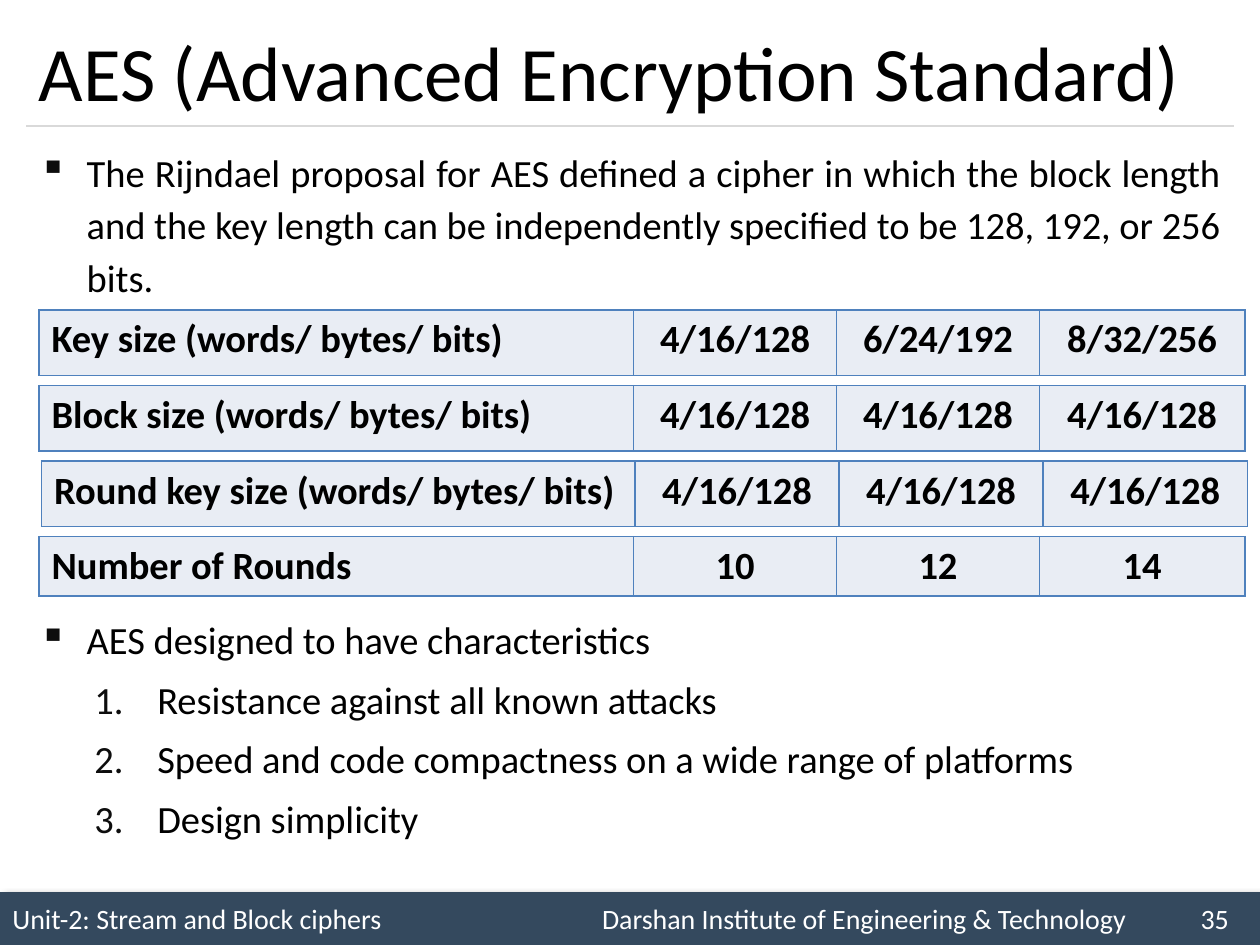
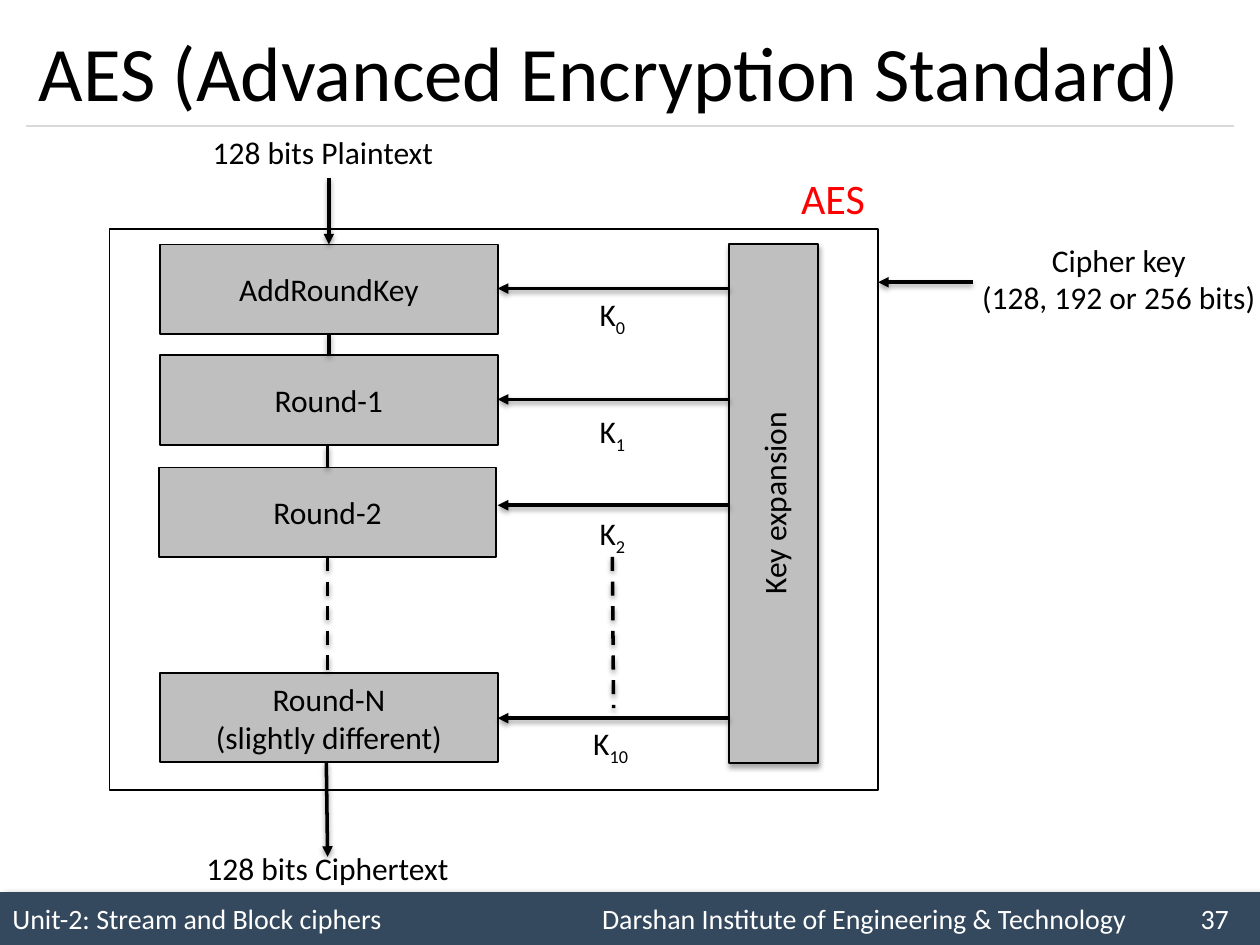
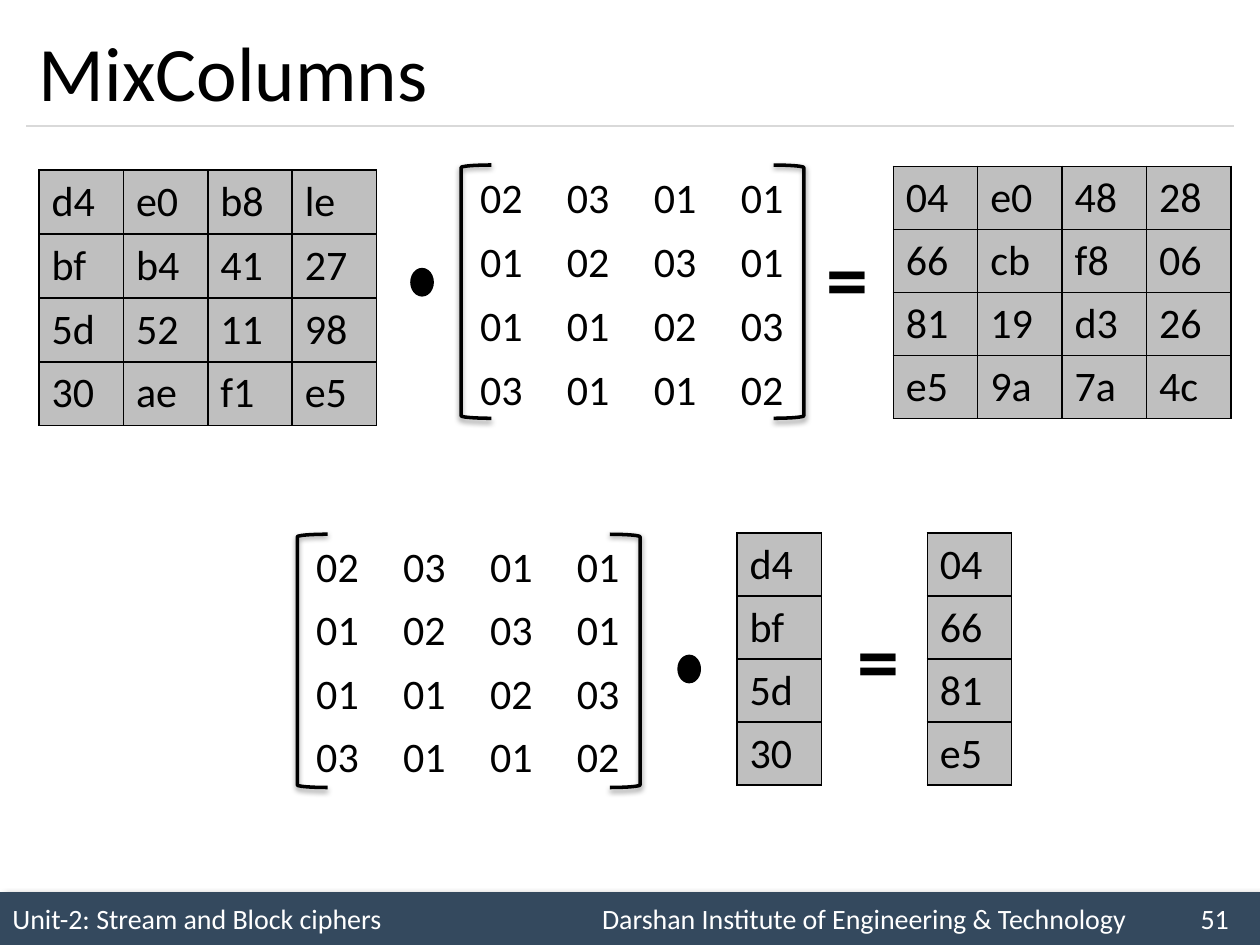
from lxml.etree import SubElement
from pptx import Presentation
from pptx.dml.color import RGBColor
from pptx.enum.dml import MSO_LINE
from pptx.enum.shapes import MSO_CONNECTOR, MSO_SHAPE
from pptx.enum.text import MSO_ANCHOR, MSO_AUTO_SIZE, PP_ALIGN
from pptx.oxml.ns import qn
from pptx.util import Inches, Pt

COLORS = {
    "text": "000000",
    "band": "34495E",
    "band_text": "FFFFFF",
    "rule": "D9D9D9",
    "bullet": "0D0D0D",
    "paper": "FFFFFF",
    "box": "BFBFBF",
    "accent": "FF0000",
    "size_fill": "E9EDF4",
    "size_line": "4F81BD",
}
FONT = "Calibri"
# opacity in percent, blur and distance in points, direction in degrees
BAND_SHADOW = (40, 4, 3, 45)
LINE_SHADOW = (38, 3.1, 1.6, 90)
PANEL_SHADOW = (35, 3.1, 1.8, 90)


def rgb(name):
    return RGBColor.from_string(COLORS[name])


def add_child(parent, tag, **attributes):
    child = SubElement(parent, qn(tag))
    for name, value in attributes.items():
        child.set(name, str(value))
    return child


def add_color(parent, name):
    return add_child(parent, "a:srgbClr", val=COLORS[name])


def write_text(frame, text, size=18, color="text", bold=False,
               align=PP_ALIGN.LEFT, line_spacing=None, space_before=0):
    """Write one paragraph per line; what follows "_" in a line is subscript."""
    for index, line in enumerate(text.split("\n")):
        paragraph = frame.add_paragraph() if index else frame.paragraphs[0]
        paragraph.alignment = align
        if line_spacing:
            paragraph.line_spacing = line_spacing
        if index and space_before:
            paragraph.space_before = Pt(space_before)
        for part_index, part in enumerate(line.split("_")):
            run = paragraph.add_run()
            run.text = part
            run.font.name = FONT
            run.font.size = Pt(size)
            run.font.bold = bold
            run.font.color.rgb = rgb(color)
            if part_index:
                run.font._element.set("baseline", "-25000")
    return frame.paragraphs


def set_bullet(paragraph, margin, indent, kind, **attributes):
    properties = paragraph._p.get_or_add_pPr()
    properties.set("marL", str(Inches(margin)))
    properties.set("indent", str(Inches(indent)))
    add_color(add_child(properties, "a:buClr"), "bullet")
    add_child(properties, kind, **attributes)


def set_shadow(shape, shadow):
    """Replace the theme shadow by the given one, or by none."""
    effects = add_child(shape._element.spPr, "a:effectLst")
    if shadow:
        opacity, blur, distance, direction = shadow
        outer = add_child(effects, "a:outerShdw", blurRad=Pt(blur), dist=Pt(distance),
                          dir=direction * 60000, algn="t", rotWithShape=0)
        add_child(add_color(outer, "text"), "a:alpha", val=opacity * 1000)


def set_borders(cell, color):
    properties = cell._tc.get_or_add_tcPr()
    for side in ("a:lnL", "a:lnR", "a:lnT", "a:lnB"):
        border = add_child(properties, side, w=Pt(1))
        if color:
            add_color(add_child(border, "a:solidFill"), color)
        else:
            add_child(border, "a:noFill")


class Deck:
    def __init__(self):
        self.presentation = Presentation()
        self.presentation.slide_width = Inches(10)
        self.presentation.slide_height = Inches(7.5)
        self.slide = None

    def new_slide(self, title, number):
        layout = self.presentation.slide_layouts[6]
        self.slide = self.presentation.slides.add_slide(layout)
        band = self.shape(MSO_SHAPE.RECTANGLE, 0, 7.08, 10, 0.42, fill="band",
                          line=None, shadow=BAND_SHADOW)
        footer = ("Unit-2: Stream and Block ciphers\t"
                  f"Darshan Institute of Engineering & Technology\t{number}")
        paragraph = write_text(band.text_frame, footer, size=16, color="band_text")[0]
        tabs = add_child(paragraph._p.get_or_add_pPr(), "a:tabLst")
        for position in (4.68, 9.43):
            add_child(tabs, "a:tab", pos=Inches(position), algn="l")
        self.line(0.21, 1, 9.79, 1, color="rule", width=0.75, shadow=None)
        self.text(title, 0.21, 0.12, 9.58, 0.88, wrap=True,
                  anchor=MSO_ANCHOR.MIDDLE, size=44)

    def text(self, text, left, top, width, height, wrap=False,
             anchor=MSO_ANCHOR.TOP, **text_format):
        box = self.slide.shapes.add_textbox(
            Inches(left), Inches(top), Inches(width), Inches(height))
        frame = box.text_frame
        frame.word_wrap = wrap
        frame.auto_size = MSO_AUTO_SIZE.NONE if wrap else MSO_AUTO_SIZE.SHAPE_TO_FIT_TEXT
        frame.vertical_anchor = anchor
        return write_text(frame, text, **text_format)

    def body(self, text, top, height):
        return self.text(text, 0.21, top, 9.58, height, wrap=True, size=22,
                         align=PP_ALIGN.JUSTIFY, line_spacing=1.14, space_before=4)

    def shape(self, kind, left, top, width, height, text="", fill=None, line="text",
              line_width=1, shadow=None, rotation=0):
        shape = self.slide.shapes.add_shape(
            kind, Inches(left), Inches(top), Inches(width), Inches(height))
        shape.rotation = rotation
        if fill:
            shape.fill.solid()
            shape.fill.fore_color.rgb = rgb(fill)
        else:
            shape.fill.background()
        if line:
            shape.line.color.rgb = rgb(line)
            shape.line.width = Pt(line_width)
        else:
            shape.line.fill.background()
        set_shadow(shape, shadow)
        shape.text_frame.vertical_anchor = MSO_ANCHOR.MIDDLE
        if text:
            write_text(shape.text_frame, text, align=PP_ALIGN.CENTER)
        return shape

    def line(self, start_x, start_y, end_x, end_y, color="text", width=2,
             arrow=False, dashed=False, shadow=LINE_SHADOW):
        connector = self.slide.shapes.add_connector(
            MSO_CONNECTOR.STRAIGHT, Inches(start_x), Inches(start_y),
            Inches(end_x), Inches(end_y))
        connector.line.color.rgb = rgb(color)
        connector.line.width = Pt(width)
        if dashed:
            connector.line.dash_style = MSO_LINE.DASH
        if arrow:
            add_child(connector.line._get_or_add_ln(), "a:tailEnd", type="triangle")
        set_shadow(connector, shadow)

    def table(self, rows, left, top, column_widths, row_height, fill=None, border=None,
              center_values=False, **text_format):
        table = self.slide.shapes.add_table(
            len(rows), len(column_widths), Inches(left), Inches(top),
            Inches(sum(column_widths)), Inches(row_height * len(rows))).table
        table.first_row = table.horz_banding = False
        for column, width in zip(table.columns, column_widths):
            column.width = Inches(width)
        for row_index, values in enumerate(rows):
            table.rows[row_index].height = Inches(row_height)
            for column_index, value in enumerate(values):
                cell = table.cell(row_index, column_index)
                set_borders(cell, border)
                if fill:
                    cell.fill.solid()
                    cell.fill.fore_color.rgb = rgb(fill)
                else:
                    cell.fill.background()
                centered = center_values and column_index > 0
                write_text(cell.text_frame, value, **text_format,
                           align=PP_ALIGN.CENTER if centered else PP_ALIGN.LEFT)

    def state(self, text, left, top):
        """Draw a grey grid of bytes, one line of text per row."""
        rows = [line.split() for line in text.split("\n")]
        self.table(rows, left, top, [0.67] * len(rows[0]), 0.5,
                   fill="box", border="text", size=24)

    def mix_matrix(self, left, top):
        """Draw the fixed MixColumns matrix between its brackets."""
        rows = [line.split() for line in
                ("02 03 01 01", "01 02 03 01", "01 01 02 03", "03 01 01 02")]
        self.table(rows, left + 0.05, top + 0.02, [0.69] * 4, 0.5, size=24)
        for kind, offset in ((MSO_SHAPE.LEFT_BRACKET, 0), (MSO_SHAPE.RIGHT_BRACKET, 2.48)):
            self.shape(kind, left + offset, top, 0.24, 2.01, line_width=2,
                       shadow=LINE_SHADOW)

    def dot(self, left, top):
        self.shape(MSO_SHAPE.OVAL, left, top, 0.16, 0.2, fill="text", line_width=2)

    def equals(self, left, top):
        self.text("=", left, top, 0.54, 0.91, size=48, bold=True)


def build_parameters(deck):
    deck.new_slide("AES (Advanced Encryption Standard)", 35)
    proposal = deck.body(
        "The Rijndael proposal for AES defined a cipher in which the block length and "
        "the key length can be independently specified to be 128, 192, or 256 bits.",
        1.08, 1.38)
    goals = deck.body(
        "AES designed to have characteristics\n"
        "Resistance against all known attacks\n"
        "Speed and code compactness on a wide range of platforms\n"
        "Design simplicity", 4.79, 2.12)
    for paragraph in (proposal[0], goals[0]):
        set_bullet(paragraph, 0.38, -0.38, "a:buChar", char="▪")
    for paragraph in goals[1:]:
        set_bullet(paragraph, 0.94, -0.5, "a:buAutoNum", type="arabicPeriod")

    wide = (0.31, (4.72, 1.61, 1.61, 1.63), 0.52)
    shifted = (0.33, (4.71, 1.62, 1.62, 1.62), 0.52)
    low = (*wide[:2], 0.47)
    sizes = [
        (wide, "Key size (words/ bytes/ bits)", "4/16/128", "6/24/192", "8/32/256"),
        (wide, "Block size (words/ bytes/ bits)", *["4/16/128"] * 3),
        (shifted, "Round key size (words/ bytes/ bits)", *["4/16/128"] * 3),
        (low, "Number of Rounds", "10", "12", "14"),
    ]
    for index, ((left, widths, height), *values) in enumerate(sizes):
        deck.table([values], left, 2.46 + 0.6 * index, widths, height, fill="size_fill",
                   border="size_line", center_values=True, size=22, bold=True)


def build_structure(deck):
    deck.new_slide("AES (Advanced Encryption Standard)", 37)
    deck.shape(MSO_SHAPE.RECTANGLE, 0.87, 1.82, 6.1, 4.45, fill="paper")
    rounds = [
        ("AddRoundKey", 1.27, 1.94),
        ("Round-1", 1.27, 2.82),
        ("Round-2", 1.26, 3.71),
        ("Round-N\n(slightly different)", 1.27, 5.34),
    ]
    for name, left, top in rounds:
        deck.shape(MSO_SHAPE.RECTANGLE, left, top, 2.68, 0.71, text=name, fill="box")
    deck.shape(MSO_SHAPE.RECTANGLE, 4.08, 3.64, 4.12, 0.71, text="Key expansion",
               fill="box", shadow=PANEL_SHADOW, rotation=270)

    keys = [("K_0", 2.29, 4.66, 2.29), ("K_1", 3.17, 4.66, 3.22),
            ("K_2", 4.01, 4.66, 4.03), ("K_10", 5.7, 4.61, 5.7)]
    for key, arrow_y, left, top in keys:
        deck.line(5.79, arrow_y, 3.95, arrow_y, arrow=True)
        deck.text(key, left, top, 0.42 if left == 4.66 else 0.51, 0.4)

    deck.line(2.61, 1.41, 2.61, 1.94, arrow=True)
    deck.line(2.61, 2.65, 2.61, 2.82)
    deck.line(2.6, 3.54, 2.6, 3.71)
    deck.line(2.6, 4.42, 2.6, 5.34, dashed=True)
    deck.line(2.59, 6.05, 2.6, 6.8, arrow=True)
    deck.line(4.86, 4.42, 4.87, 5.62, dashed=True)
    deck.line(7.72, 2.24, 6.97, 2.24, arrow=True)

    deck.text("128 bits Plaintext", 1.59, 1.01, 2.03, 0.4)
    deck.text("128 bits Ciphertext", 1.54, 6.69, 2.15, 0.4)
    deck.text("Cipher key\n(128, 192 or 256 bits)", 7.68, 1.86, 2.4, 0.71,
              align=PP_ALIGN.CENTER)
    deck.text("AES", 6.26, 1.32, 0.71, 0.5, size=24, color="accent")


def build_mix_columns(deck):
    deck.new_slide("MixColumns", 51)
    deck.state("d4 e0 b8 le\nbf b4 41 27\n5d 52 11 98\n30 ae f1 e5", 0.31, 1.35)
    deck.dot(3.27, 2.14)
    deck.mix_matrix(3.66, 1.31)
    deck.equals(6.46, 1.74)
    deck.state("04 e0 48 28\n66 cb f8 06\n81 19 d3 26\ne5 9a 7a 4c", 7.09, 1.32)

    deck.mix_matrix(2.36, 4.24)
    deck.dot(5.39, 5.21)
    deck.state("d4\nbf\n5d\n30", 5.85, 4.23)
    deck.equals(6.71, 4.77)
    deck.state("04\n66\n81\ne5", 7.36, 4.23)


def main():
    deck = Deck()
    build_parameters(deck)
    build_structure(deck)
    build_mix_columns(deck)
    deck.presentation.save("out.pptx")


if __name__ == "__main__":
    main()
